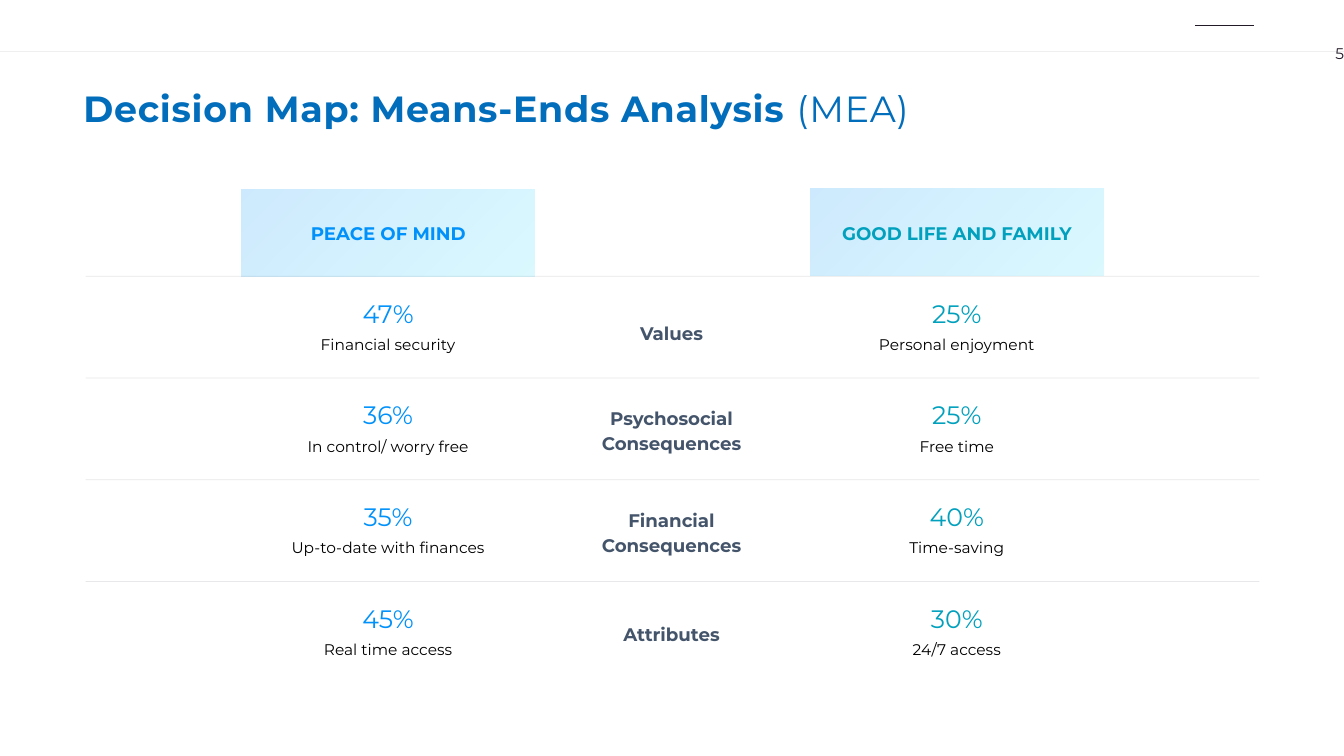
from lxml import etree
from pptx import Presentation
from pptx.dml.color import RGBColor
from pptx.enum.shapes import MSO_CONNECTOR, MSO_SHAPE
from pptx.enum.text import MSO_ANCHOR, PP_ALIGN
from pptx.oxml import parse_xml
from pptx.oxml.ns import nsdecls, qn
from pptx.util import Pt

PX = 9144
WIDE, HIGH = 1333, 750
FONT = "Montserrat"
LEFT, MID, RIGHT = PP_ALIGN.LEFT, PP_ALIGN.CENTER, PP_ALIGN.RIGHT
CENTRE = MSO_ANCHOR.MIDDLE
RECT, LINE = MSO_SHAPE.RECTANGLE, MSO_CONNECTOR.STRAIGHT
HUES = {
    "ink": "231A28", "title": "016DBB", "label": "44546A", "text": "000000",
    "blue": "0191FA", "teal": "01A0BD", "aqua": "01D5FC",
}
HEADS = [
    ("PEACE OF MIND", 385, 188, "blue"),
    ("GOOD LIFE AND FAMILY", 949, 187, "teal"),
]
ROWS = [
    (["Values"], 4, [("47%", "Financial security"), ("25%", "Personal enjoyment")]),
    (["Psychosocial", "Consequences"], 0,
     [("36%", "In control/ worry free"), ("25%", "Free time")]),
    (["Financial", "Consequences"], 0,
     [("35%", "Up-to-date with finances"), ("40%", "Time-saving")]),
    (["Attributes"], 0, [("45%", "Real time access"), ("30%", "24/7 access")]),
]


def style(font, size, hue, bold=False):
    """Set the face, size, colour and weight of a font."""
    font.name, font.size, font.bold = FONT, Pt(size), bold
    font.color.rgb = RGBColor.from_string(HUES[hue])


def write(slide, box, lines, align=MID, pads=(0, 0, 0, 0), lead=18):
    """Add a text box with one styled paragraph per line."""
    shape = slide.shapes.add_textbox(*(n * PX for n in box))
    frame = shape.text_frame
    frame.word_wrap, frame.vertical_anchor = True, CENTRE
    (frame.margin_left, frame.margin_top,
     frame.margin_right, frame.margin_bottom) = (n * PX for n in pads)
    for i, (text, *look) in enumerate(lines):
        para = frame.add_paragraph() if i else frame.paragraphs[0]
        para.text, para.alignment = text, align
        if lead:
            para.line_spacing = Pt(lead)
        style(para.font, *look)
    return frame


def rule(slide, left, top, width, alpha=None):
    """Draw a thin level line, faded when an alpha is given."""
    line = slide.shapes.add_connector(
        LINE, left * PX, top * PX, (left + width) * PX, top * PX)
    line.line.width = Pt(0.5)
    line.line.color.rgb = RGBColor.from_string(HUES["ink"])
    props = line._element.spPr
    if alpha:
        tint = next(props.iter(qn("a:srgbClr")))
        etree.SubElement(tint, qn("a:alpha")).set("val", str(alpha * 1000))
    etree.SubElement(props, qn("a:effectLst"))


def banner(slide):
    """Place the top rules and the page number."""
    rule(slide, 1185, 25, 59)
    rule(slide, 0, 51, WIDE, 10)
    write(slide, (1313, 43, 20, 20), [("5", 11, "ink")], RIGHT, lead=None)


def title(slide, left, top, width, height):
    """Write the heading with its light suffix."""
    frame = write(slide, (left, top, width, height),
                  [("", 26, "title")], LEFT, (10, 0, 0, 0), None)
    for text, bold in (("Decision Map: Means-Ends Analysis ", True), ("(MEA)", False)):
        run = frame.paragraphs[0].add_run()
        run.text, run.font.bold = text, bold
        run._r.get_or_add_rPr().set("spc", "50")


def card(slide, left, top, width, height):
    """Add a heading panel with a faint radial gradient."""
    shape = slide.shapes.add_shape(
        RECT, left * PX, top * PX, width * PX, height * PX)
    shape.shadow.inherit = False
    shape.line.fill.background()
    shape.fill.background()
    stops = "".join(
        f'<a:gs pos="{pos}"><a:srgbClr val="{HUES[hue]}">'
        f'<a:alpha val="{alpha}"/></a:srgbClr></a:gs>'
        for pos, hue, alpha in ((0, "blue", 20000), (100000, "aqua", 15000)))
    grad = parse_xml(
        f'<a:gradFill {nsdecls("a")}><a:gsLst>{stops}</a:gsLst>'
        '<a:path path="circle"><a:fillToRect r="100000" b="100000"/></a:path>'
        '</a:gradFill>')
    props = shape._element.spPr
    props.replace(props.find(qn("a:noFill")), grad)


def row(slide, left, top, width, height, label, drop, stats):
    """Lay out one row: its rule, middle label and two figures."""
    rule(slide, left, top, width, 10)
    write(slide, (586, top + drop, 160, height),
          [(text, 13, "label", True) for text in label])
    for (text, mid, _, hue), (share, note) in zip(HEADS, stats):
        write(slide, (mid - 117, top + 27, 234, 54),
              [(share, 18, hue), (note, 11, "text")], pads=(0, 0, 0, 5))


def chart(slide, left, top, width, pitch):
    """Place the column heads and the rows beneath them."""
    for text, mid, y, hue in HEADS:
        card(slide, mid - 145, y, 290, 86)
        write(slide, (mid - 140, 218, 280, 28),
              [(text, 13, hue, True)], pads=(0, 0, 0, 5))
    for i, parts in enumerate(ROWS):
        row(slide, left, top + i * pitch, width, pitch, *parts)


def main():
    """Build the slide and save it."""
    deck = Presentation()
    deck.slide_width, deck.slide_height = WIDE * PX, HIGH * PX
    slide = deck.slides.add_slide(deck.slide_layouts[6])
    banner(slide)
    title(slide, 73, 80, 850, 54)
    chart(slide, 85, 274, 1164, 101)
    deck.save("out.pptx")


if __name__ == "__main__":
    main()
